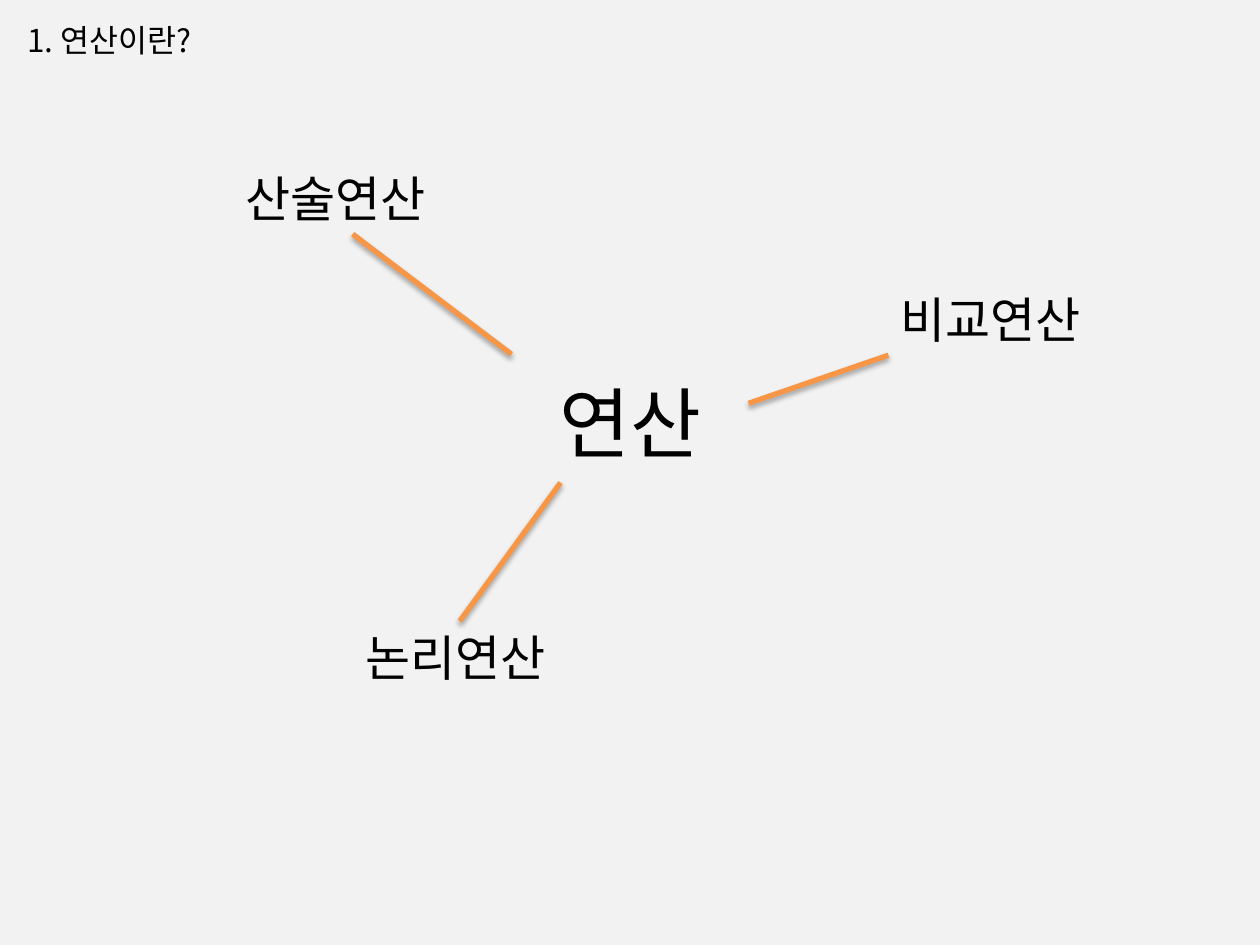
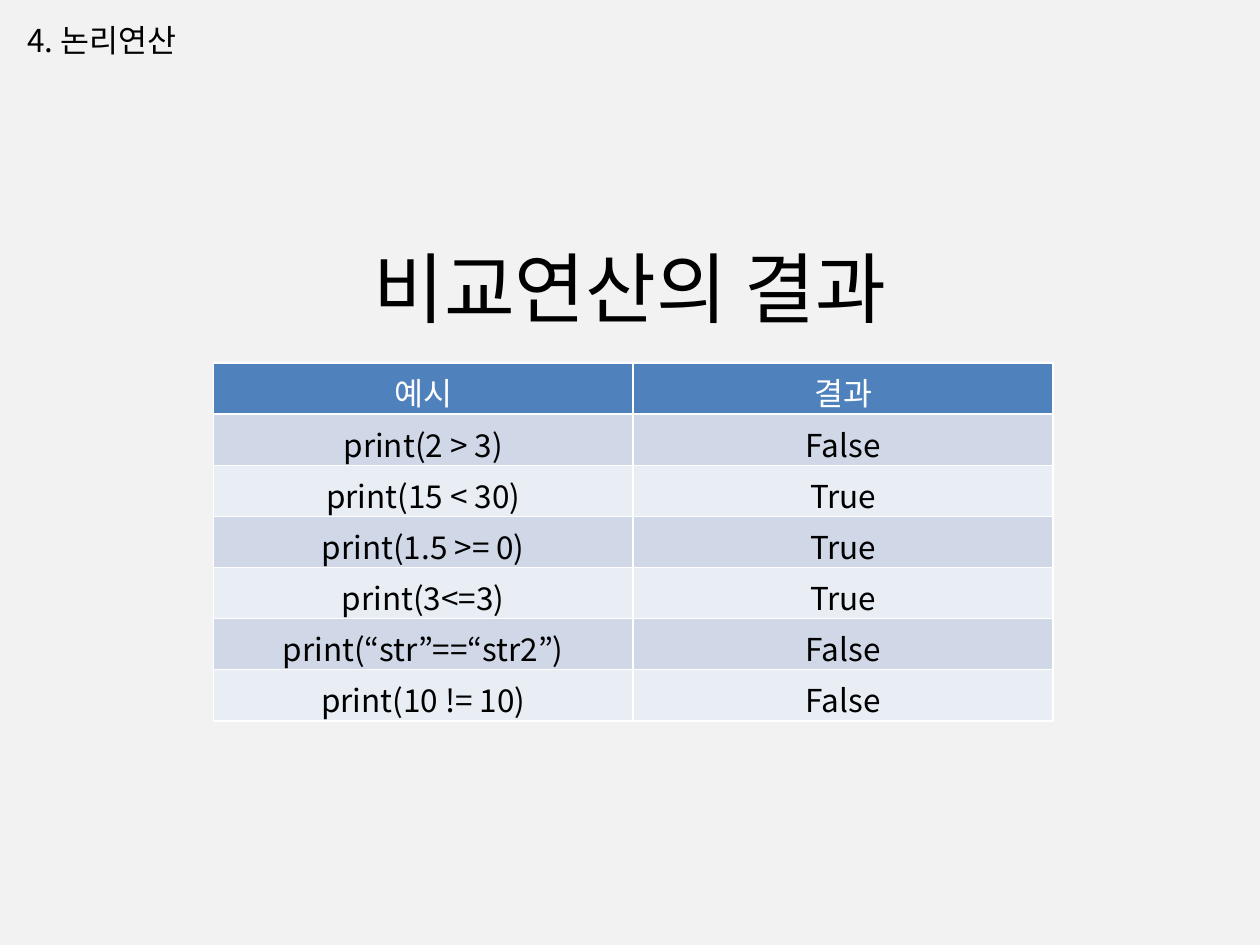
from dataclasses import dataclass

from lxml import etree
from pptx import Presentation
from pptx import util as u
from pptx.dml.color import RGBColor
from pptx.enum import shapes, text
from pptx.oxml import ns


@dataclass(frozen=True)
class Theme:
    font: str = "Noto Sans CJK KR"
    background: str = "F2F2F2"
    ink: str = "000000"
    white: str = "FFFFFF"
    branch_line: str = "F79646"
    header: str = "4F81BD"
    bands: tuple = ("D0D8E8", "E9EDF4")
    title_size: int = 44
    branch_size: int = 28
    text_size: int = 18


THEME = Theme()

# Label box (left, top, width, height) and line (start x, y, end x, y) in cm
BRANCHES = [
    ("산술연산", (4.7, 3.28, 6, 1.45), (10.31, 7.14, 7.11, 4.72)),
    ("비교연산", (17.91, 5.72, 5.2, 1.45), (15.09, 8.13, 17.91, 7.16)),
    ("논리연산", (7.11, 12.52, 6, 1.45), (9.27, 12.52, 11.3, 9.73)),
]

RESULTS = [
    ("예시", "결과"),
    ("print(2 > 3)", "False"),
    ("print(15 < 30)", "True"),
    ("print(1.5 >= 0)", "True"),
    ("print(3<=3)", "True"),
    ("print(“str”==“str2”)", "False"),
    ("print(10 != 10)", "False"),
]


def cm(*lengths):
    return [u.Cm(length) for length in lengths]


def colour(value):
    return RGBColor.from_string(value)


def style(paragraph, size, ink=THEME.ink, centred=False):
    """Format a paragraph, for Latin and Korean letters alike."""
    font = paragraph.font
    font.size, font.bold, font.name = u.Pt(size), False, THEME.font
    font.color.rgb = colour(ink)
    defaults = paragraph._p.pPr.find(ns.qn("a:defRPr"))
    etree.SubElement(defaults, ns.qn("a:ea"), typeface=THEME.font)
    if centred:
        paragraph.alignment = text.PP_ALIGN.CENTER


def add_label(slide, box, words, size):
    frame = slide.shapes.add_textbox(*cm(*box)).text_frame
    frame.word_wrap = True
    frame.auto_size = text.MSO_AUTO_SIZE.SHAPE_TO_FIT_TEXT
    frame.text = words
    style(frame.paragraphs[0], size)


def add_slide(presentation, heading, title, title_box):
    """Add a slide with its section heading and title."""
    slide = presentation.slides.add_slide(presentation.slide_layouts[0])
    subtitle = slide.placeholders[1].element
    subtitle.getparent().remove(subtitle)

    shape = slide.shapes.title
    shape.left, shape.top, shape.width, shape.height = cm(*title_box)
    frame = shape.text_frame
    frame.text = title
    frame.auto_size = text.MSO_AUTO_SIZE.NONE
    frame.vertical_anchor = text.MSO_ANCHOR.MIDDLE
    style(frame.paragraphs[0], THEME.title_size, centred=True)

    add_label(slide, (0.3, 0.3, 7.19, 1.02), heading, THEME.text_size)
    return slide


def add_branch_line(slide, ends):
    line = slide.shapes.add_connector(shapes.MSO_CONNECTOR.STRAIGHT, *cm(*ends))
    line.line.color.rgb = colour(THEME.branch_line)
    line.line.width = u.Pt(3)
    # Soft shadow straight below the line
    effects = etree.SubElement(line.element.spPr, ns.qn("a:effectLst"))
    shadow = etree.SubElement(
        effects, ns.qn("a:outerShdw"), blurRad=str(u.Pt(3.1)),
        dist=str(u.Pt(1.8)), dir="5400000", rotWithShape="0")
    black = etree.SubElement(shadow, ns.qn("a:srgbClr"), val=THEME.ink)
    etree.SubElement(black, ns.qn("a:alpha"), val="35000")


def add_table(slide, rows, box):
    table = slide.shapes.add_table(len(rows), len(rows[0]), *cm(*box)).table
    for row_number, row in enumerate(rows):
        is_header = row_number == 0
        fill = THEME.header if is_header else THEME.bands[(row_number - 1) % 2]
        for column_number, words in enumerate(row):
            cell = table.cell(row_number, column_number)
            cell.text = words
            cell.fill.solid()
            cell.fill.fore_color.rgb = colour(fill)
            style(cell.text_frame.paragraphs[0], THEME.text_size,
                  THEME.white if is_header else THEME.ink, centred=True)


def main():
    presentation = Presentation()
    presentation.slide_width, presentation.slide_height = cm(25.4, 19.05)
    background = presentation.slide_master.background.fill
    background.solid()
    background.fore_color.rgb = colour(THEME.background)

    # Kinds of operation
    slide = add_slide(presentation, "1. 연산이란?", "연산",
                      (10.31, 6.45, 4.8, 4.09))
    for words, box, ends in BRANCHES:
        add_label(slide, box, words, THEME.branch_size)
        add_branch_line(slide, ends)

    # Results of comparisons
    slide = add_slide(presentation, "4. 논리연산", "비교연산의 결과",
                      (1.9, 3.73, 21.6, 4.09))
    add_table(slide, RESULTS, (4.3, 7.32, 16.93, 7.21))

    presentation.save("out.pptx")


if __name__ == "__main__":
    main()
